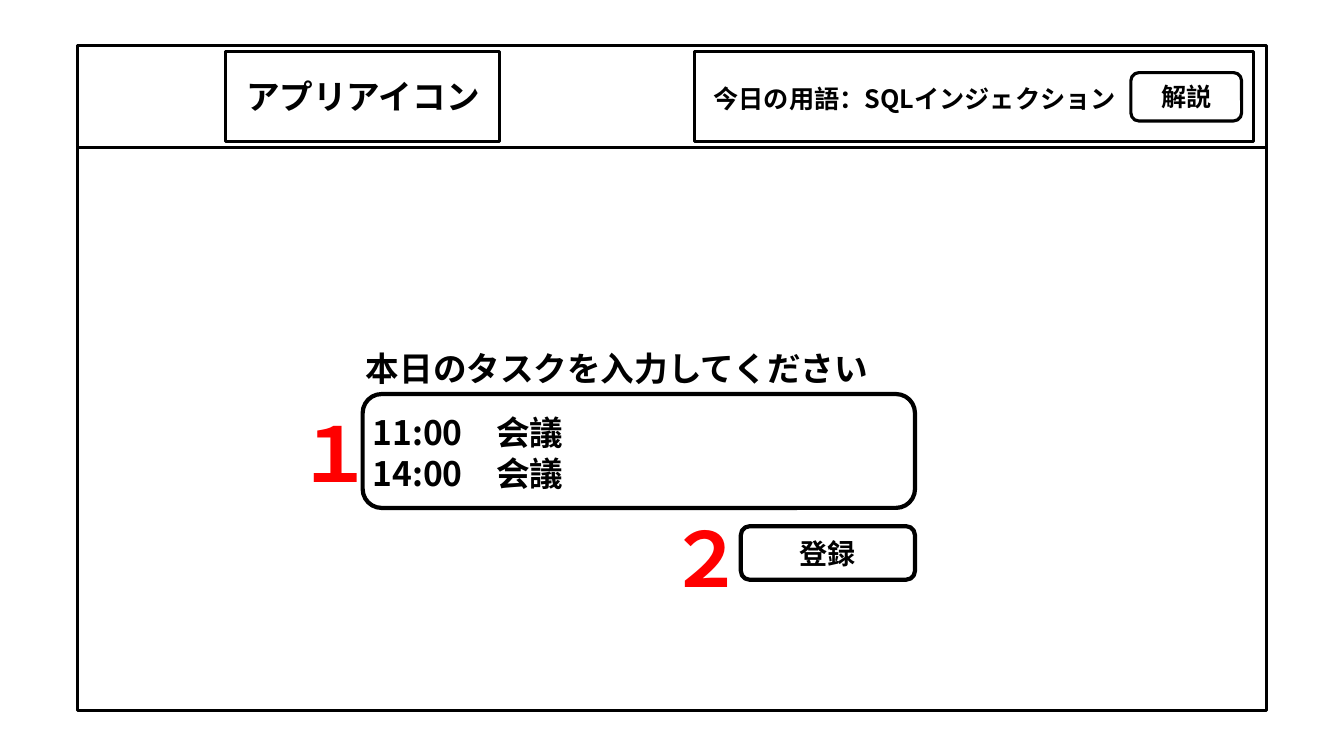
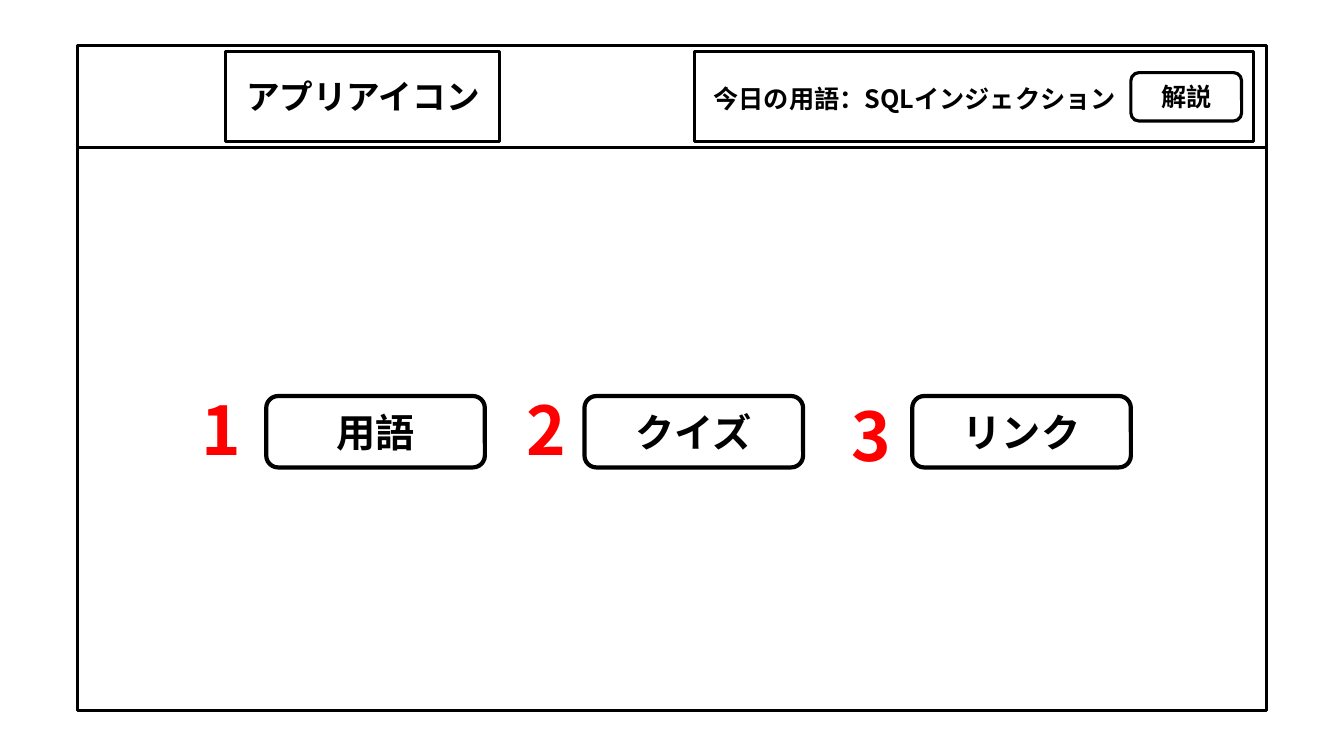
"""Build two wireframe slides of a daily task and security term app."""
import dataclasses
import typing

import lxml.etree
import pptx
import pptx.dml.color
import pptx.enum.shapes
import pptx.enum.text
import pptx.oxml.ns
import pptx.util

FONT = "Noto Sans CJK JP"
BLACK = "000000"
RED = "FF0000"
THIN = 2.25
THICK = 3
RECT = pptx.enum.shapes.MSO_SHAPE.RECTANGLE
ROUNDED = pptx.enum.shapes.MSO_SHAPE.ROUNDED_RECTANGLE
CENTER = pptx.enum.text.PP_ALIGN.CENTER
LEFT = pptx.enum.text.PP_ALIGN.LEFT


@dataclasses.dataclass(frozen=True)
class Panel:
    left: float
    top: float
    width: float
    height: float
    weight: float = THIN
    outline: pptx.enum.shapes.MSO_SHAPE = RECT
    text: str = ""
    size: float = 24


@dataclasses.dataclass(frozen=True)
class Label:
    left: float
    top: float
    width: float
    height: float
    text: str
    size: float = 24
    color: str = BLACK
    align: pptx.enum.text.PP_ALIGN = LEFT


FRAME = Panel(1.96, 1.14, 29.95, 16.76)
HEADER_BOTTOM = 3.71
APP_ICON = Panel(5.69, 1.3, 6.91, 2.26, text="アプリアイコン")
TERM_PARTS = (
    Panel(17.5, 1.3, 14.1, 2.26),
    Label(17.73, 1.98, 11.63, 1.02, "今日の用語：SQLインジェクション", 18),
    Panel(28.5, 1.83, 2.79, 1.22, outline=ROUNDED, text="解説", size=18),
)


def step_number(left: float, top: float, height: float, text: str, size: float) -> Label:
    return Label(left, top, 2.24, height, text, size, RED, CENTER)


TASK_ENTRY = (
    Panel(9.14, 9.93, 13.92, 2.87, THICK, ROUNDED),
    Panel(18.67, 13.26, 4.39, 1.35, THICK, ROUNDED, "登録", 20),
    Label(9.14, 10.26, 7.16, 2.31, "11:00　会議\n14:00　会議"),
    Label(8.97, 8.64, 13.59, 1.27, "本日のタスクを入力してください"),
    step_number(7.24, 10.13, 2.57, "１", 54),
    step_number(16.61, 12.78, 2.57, "２", 54),
)
MENU = tuple(
    Panel(left, 9.98, 5.51, 1.8, THICK, ROUNDED, text, 28)
    for left, text in ((6.71, "用語"), (14.73, "クイズ"), (22.99, "リンク"))
) + tuple(
    step_number(4.47 + 8.18 * index, top, 2.31, str(index + 1), 48)
    for index, top in enumerate((9.65, 9.65, 9.8))
)


def rgb(color: str) -> pptx.dml.color.RGBColor:
    return pptx.dml.color.RGBColor.from_string(color)


def bounds(part: Panel | Label) -> list[pptx.util.Length]:
    return [pptx.util.Cm(n) for n in (part.left, part.top, part.width, part.height)]


def write(frame: typing.Any, text: str, size: float, color: str,
          align: pptx.enum.text.PP_ALIGN) -> None:
    frame.word_wrap = True
    frame.text = text
    for paragraph in frame.paragraphs:
        paragraph.alignment = align
        paragraph.font.size = pptx.util.Pt(size)
        paragraph.font.bold = True
        paragraph.font.color.rgb = rgb(color)
        paragraph.font.name = FONT
        defaults = paragraph._p.pPr.find(pptx.oxml.ns.qn("a:defRPr"))
        lxml.etree.SubElement(defaults, pptx.oxml.ns.qn("a:ea"), typeface=FONT)


def draw_panel(shapes: typing.Any, panel: Panel) -> None:
    shape = shapes.add_shape(panel.outline, *bounds(panel))
    shape.shadow.inherit = False
    shape.fill.background()
    shape.line.color.rgb = rgb(BLACK)
    shape.line.width = pptx.util.Pt(panel.weight)
    if panel.text:
        write(shape.text_frame, panel.text, panel.size, BLACK, CENTER)


def draw_label(shapes: typing.Any, label: Label) -> None:
    box = shapes.add_textbox(*bounds(label))
    write(box.text_frame, label.text, label.size, label.color, label.align)
    box.text_frame.auto_size = pptx.enum.text.MSO_AUTO_SIZE.SHAPE_TO_FIT_TEXT


def draw(shapes: typing.Any, parts: typing.Iterable[Panel | Label]) -> None:
    for part in parts:
        if isinstance(part, Panel):
            draw_panel(shapes, part)
        else:
            draw_label(shapes, part)


def draw_header_rule(shapes: typing.Any) -> None:
    y = pptx.util.Cm(HEADER_BOTTOM)
    rule = shapes.add_connector(
        pptx.enum.shapes.MSO_CONNECTOR.STRAIGHT,
        pptx.util.Cm(FRAME.left), y, pptx.util.Cm(FRAME.left + FRAME.width), y)
    rule.line.color.rgb = rgb(BLACK)
    rule.line.width = pptx.util.Pt(THIN)
    lxml.etree.SubElement(rule._element.spPr, pptx.oxml.ns.qn("a:effectLst"))


def add_screen(deck: typing.Any, content: typing.Iterable[Panel | Label]) -> None:
    shapes = deck.slides.add_slide(deck.slide_layouts[6]).shapes
    draw_panel(shapes, FRAME)
    draw_header_rule(shapes)
    draw_panel(shapes, APP_ICON)
    draw(shapes.add_group_shape().shapes, TERM_PARTS)
    draw(shapes, content)


def main() -> None:
    deck = pptx.Presentation()
    deck.slide_width = pptx.util.Cm(33.87)
    deck.slide_height = pptx.util.Cm(19.05)
    for content in (TASK_ENTRY, MENU):
        add_screen(deck, content)
    deck.save("out.pptx")


main()
